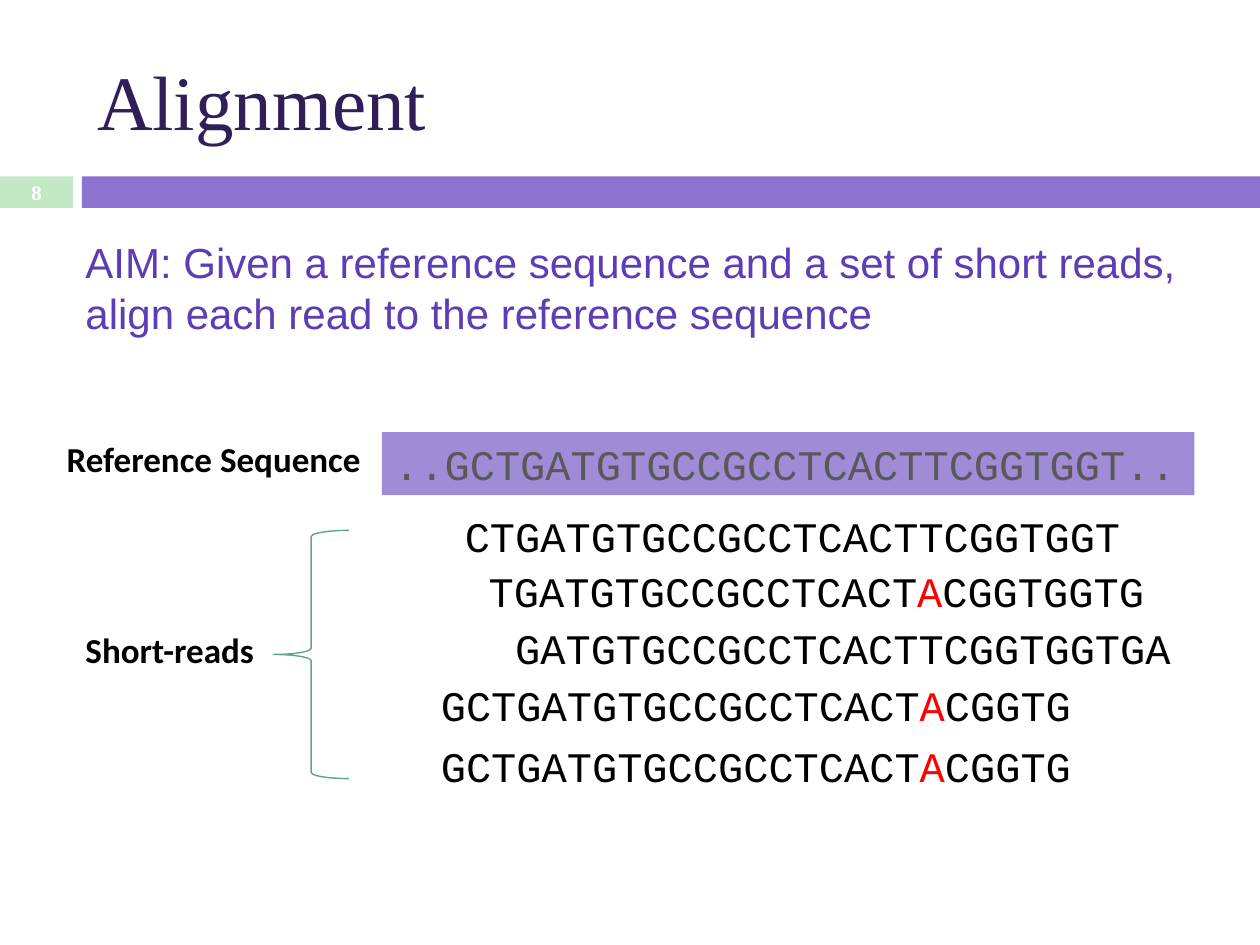
from pptx import Presentation
from pptx.dml.color import RGBColor
from pptx.enum.shapes import MSO_SHAPE
from pptx.enum.text import MSO_ANCHOR, PP_ALIGN
from pptx.util import Inches, Pt

RECTANGLE, LEFT_BRACE = MSO_SHAPE.RECTANGLE, MSO_SHAPE.LEFT_BRACE
TOP, MIDDLE = MSO_ANCHOR.TOP, MSO_ANCHOR.MIDDLE
LEFT, CENTER = PP_ALIGN.LEFT, PP_ALIGN.CENTER
TITLE_ONLY = 5

BLACK, WHITE, RED = "000000", "FFFFFF", "FF0000"
CHARACTER_WIDTH, BOX_PADDING, ROW_HEIGHT = 0.2, 0.25, 0.5

# Left, top, then alternating matching and mismatching bases
READS = [
    (3.59, 4.0, ["CTGATGTGCCGCCTCACTTCGGTGGT"]),
    (3.78, 4.44, ["TGATGTGCCGCCTCACT", "A", "CGGTGGTG"]),
    (3.99, 4.89, ["GATGTGCCGCCTCACTTCGGTGGTGA"]),
    (3.4, 5.34, ["GCTGATGTGCCGCCTCACT", "A", "CGGTG"]),
    (3.4, 5.83, ["GCTGATGTGCCGCCTCACT", "A", "CGGTG"]),
]


def color(value):
    return RGBColor.from_string(value)


def place(shape, left, top, width, height):
    shape.left, shape.top = Inches(left), Inches(top)
    shape.width, shape.height = Inches(width), Inches(height)


def write(shape, spans, font, size, bold=False, align=LEFT, anchor=TOP, wrap=True):
    """Fill a shape with one paragraph of (text, colour) spans."""
    frame = shape.text_frame
    frame.word_wrap = wrap
    frame.vertical_anchor = anchor
    para = frame.paragraphs[0]
    para.alignment = align
    for text, text_color in spans:
        span = para.add_run()
        span.text = text
        span.font.name = font
        span.font.size = Pt(size)
        span.font.bold = bold
        span.font.color.rgb = color(text_color)


def add_label(page, bounds, text, text_color, font, size, **style):
    box = page.shapes.add_textbox(*map(Inches, bounds))
    write(box, [(text, text_color)], font, size, **style)


def add_bar(page, bounds, fill):
    bar = page.shapes.add_shape(RECTANGLE, *map(Inches, bounds))
    bar.shadow.inherit = False
    bar.fill.solid()
    bar.fill.fore_color.rgb = color(fill)
    bar.line.fill.background()
    return bar


def add_sequence(page, left, top, fill, parts, base_color):
    """Add a strip sized to its bases, with every second part in red."""
    width = sum(map(len, parts)) * CHARACTER_WIDTH + BOX_PADDING
    strip = add_bar(page, (left, top, width, ROW_HEIGHT), fill)
    spans = [(part, RED if index % 2 else base_color)
             for index, part in enumerate(parts)]
    write(strip, spans, "Courier New", 24, wrap=False)


def add_brace(page, bounds, line_color):
    brace = page.shapes.add_shape(LEFT_BRACE, *map(Inches, bounds))
    brace.shadow.inherit = False
    brace.fill.background()
    brace.line.color.rgb = color(line_color)
    brace.line.width = Pt(0.79)


def main():
    deck = Presentation()
    deck.slide_width, deck.slide_height = Inches(10), Inches(7.5)
    page = deck.slides.add_slide(deck.slide_layouts[TITLE_ONLY])

    # Header band, title and page number
    add_bar(page, (0, 1.4, 0.58, 0.25), "C2E8C4")
    add_bar(page, (0.65, 1.4, 9.35, 0.25), "8C73D0")
    title = page.shapes.title
    place(title, 0.67, 0.25, 8.92, 1.08)
    write(title, [("Alignment", "2F1F58")], "Times New Roman", 44, anchor=MIDDLE)
    add_label(page, (0, 1.39, 0.58, 0.27), "8", WHITE, "Times New Roman", 11.9,
              bold=True, align=CENTER, anchor=MIDDLE)

    # Reference sequence
    add_sequence(page, 3.03, 3.43, "A08BD6",
                 ["..GCTGATGTGCCGCCTCACTTCGGTGGT.."], "595959")
    add_label(page, (0.43, 3.42, 2.56, 0.44), "Reference Sequence", BLACK,
              "Calibri", 20, bold=True, wrap=False)

    # Short reads
    for left, top, parts in READS:
        add_sequence(page, left, top, WHITE, parts, BLACK)
    add_brace(page, (2.17, 4.21, 0.6, 1.97), "5DA686")
    add_label(page, (0.58, 4.94, 1.75, 0.44), "Short-reads", BLACK,
              "Calibri", 20, bold=True)

    # Aim
    add_label(page, (0.58, 1.83, 8.92, 0.91),
              "AIM: Given a reference sequence and a set of short reads, "
              "align each read to the reference sequence",
              "5D3DB5", "Arial", 24)

    deck.save("out.pptx")


if __name__ == "__main__":
    main()
